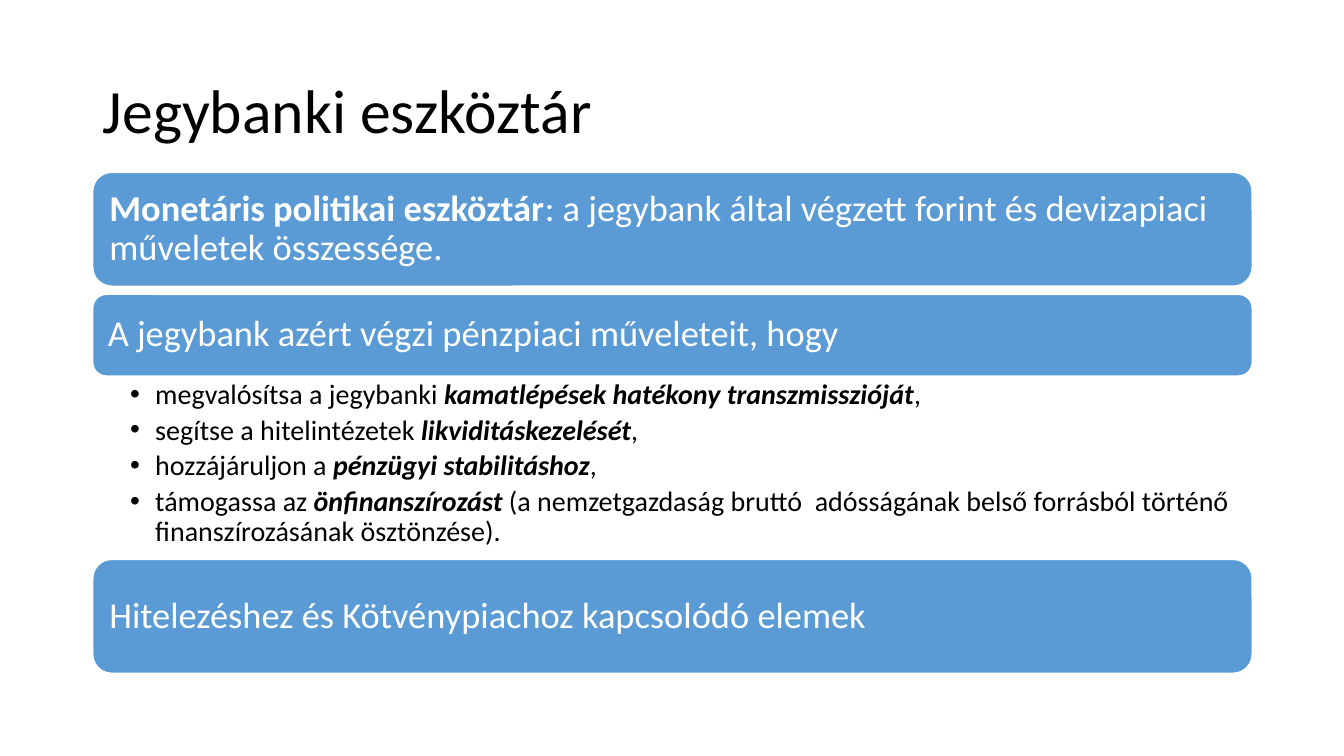
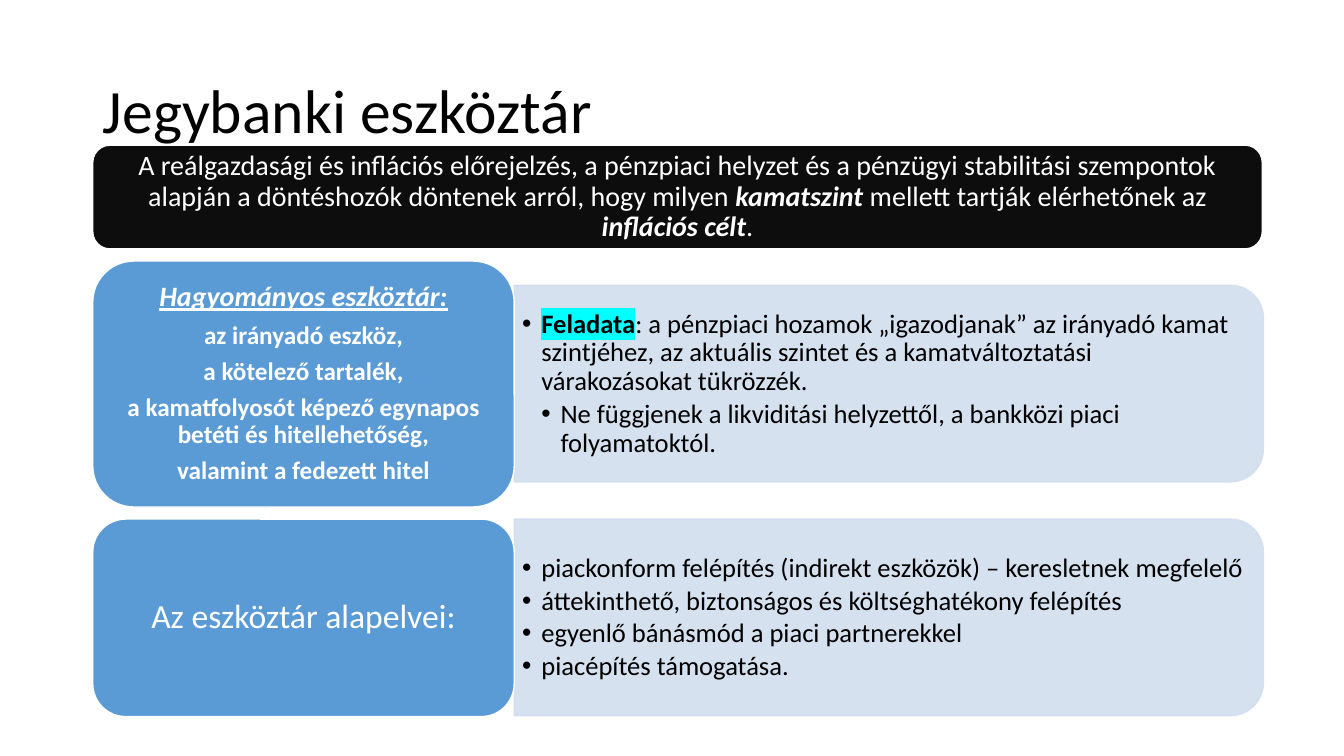
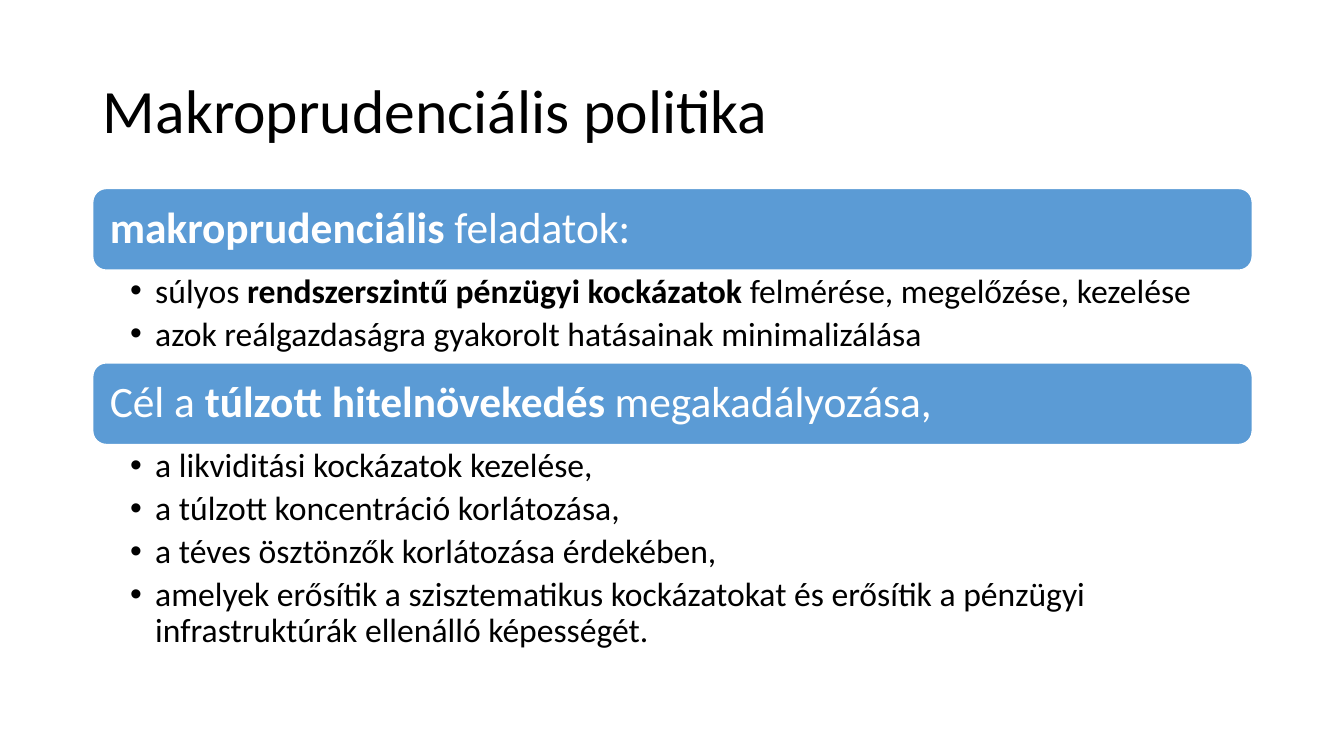
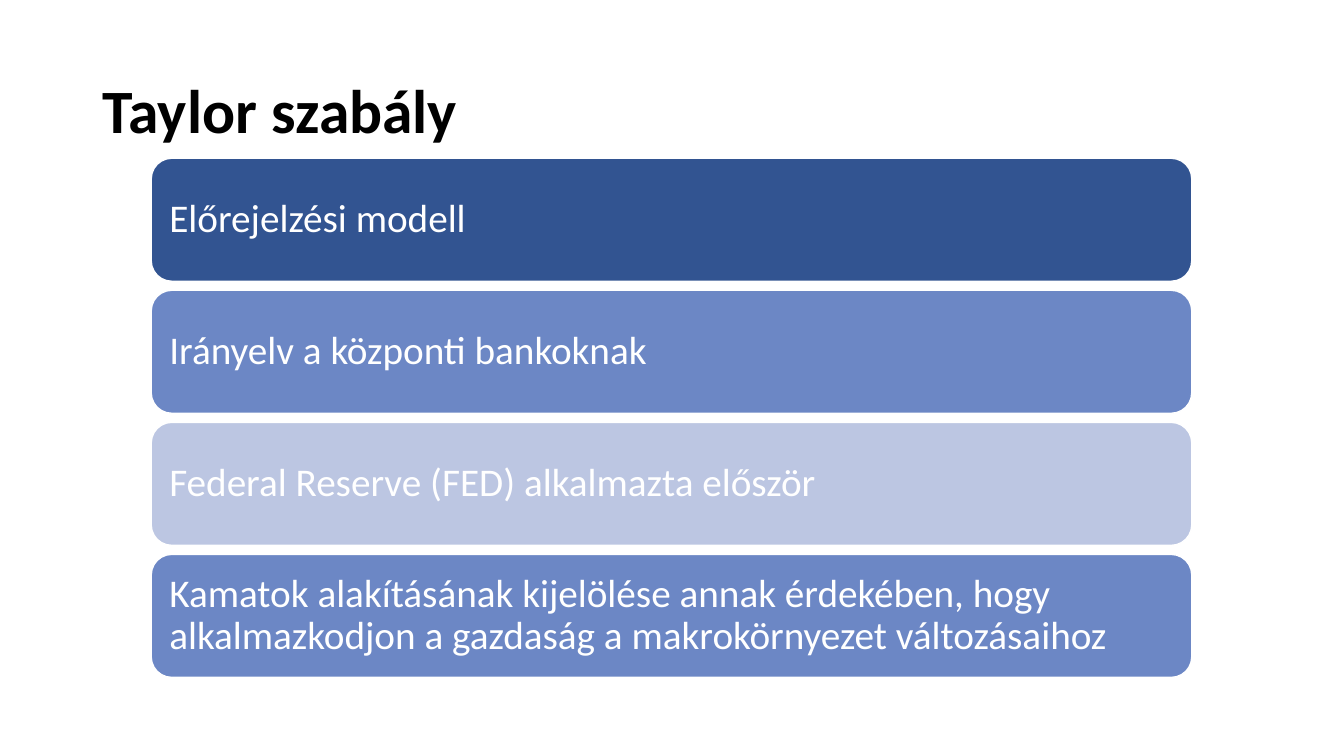
from lxml.etree import SubElement
from pptx import Presentation
from pptx.dml.color import RGBColor as Rgb
from pptx.enum.shapes import MSO_SHAPE as Kind
from pptx.enum.text import MSO_ANCHOR as Anchor, MSO_AUTO_SIZE as Fit, PP_ALIGN as Align
from pptx.oxml.ns import qn
from pptx.util import Inches, Pt

FONT = "Calibri"
HEX = {
    "white": "FFFFFF", "black": "000000", "blue": "5B9BD5", "pale": "D2DEEF",
    "dark": "0D0D0D", "navy": "325491", "mid": "6C87C5", "light": "BCC6E2",
    "cyan": "00FFFF",
}
COLOR = {name: Rgb.from_string(code) for name, code in HEX.items()}
LEFT, WIDE = 0.92, 11.5

deck = Presentation()
deck.slide_width, deck.slide_height = Inches(13.33), Inches(7.5)


def start(text, bold=False):
    """Add a slide with the shared title style."""
    slide = deck.slides.add_slide(deck.slide_layouts[5])
    title = slide.shapes.title
    title.left, title.top = Inches(LEFT), Inches(0.4)
    title.width, title.height = Inches(WIDE), Inches(1.45)
    frame = title.text_frame
    frame.vertical_anchor, frame.auto_size = Anchor.MIDDLE, Fit.NONE
    para = frame.paragraphs[0]
    para.alignment, para.line_spacing = Align.LEFT, 0.9
    run = para.add_run()
    run.text = text
    font = run.font
    font.name, font.size, font.bold = FONT, Pt(44), bold
    font.color.rgb = COLOR["black"]
    return slide


def block(slide, at, size, paras, fill=None, pad=(0.08, 0.04, 0.08, 0.04),
          align=Align.LEFT, anchor=Anchor.MIDDLE, hang=0, after=0.35):
    """Add text, in a rounded card if fill is given.

    A paragraph is a list of (text, marks) runs; the marks are b, i, u and
    h (highlight). A hang above 0 gives bullets with that indent.
    """
    spot = [Inches(n) for n in at]
    if fill:
        shape = slide.shapes.add_shape(Kind.ROUNDED_RECTANGLE, *spot)
        shape.shadow.inherit = False
        shape.fill.solid()
        shape.fill.fore_color.rgb = COLOR[fill]
        shape.line.color.rgb, shape.line.width = COLOR["white"], Pt(1)
    else:
        shape = slide.shapes.add_textbox(*spot)
    frame = shape.text_frame
    frame.word_wrap, frame.vertical_anchor = True, anchor
    (frame.margin_left, frame.margin_top,
     frame.margin_right, frame.margin_bottom) = [Inches(n) for n in pad]
    for i, runs in enumerate(paras):
        para = frame.add_paragraph() if i else frame.paragraphs[0]
        para.alignment, para.line_spacing = align, 0.9
        para.space_after = Pt(size * after)
        if hang:
            props = para._p.get_or_add_pPr()
            props.set("marL", str(Inches(hang)))
            props.set("indent", str(-Inches(hang)))
            SubElement(props, qn("a:buFont")).set("typeface", "Arial")
            SubElement(props, qn("a:buChar")).set("char", "•")
        for text, marks in runs:
            run = para.add_run()
            run.text = text
            font = run.font
            font.name, font.size = FONT, Pt(size)
            font.color.rgb = COLOR["white" if fill else "black"]
            font.bold, font.italic = "b" in marks, "i" in marks
            font.underline = "u" in marks
            if "h" in marks:
                props = run._r.get_or_add_rPr()
                mark = SubElement(props, qn("a:highlight"))
                SubElement(mark, qn("a:srgbClr")).set("val", HEX["cyan"])
                props.find(qn("a:solidFill")).addnext(mark)
    return shape


# Slide 1: purpose of the toolkit
slide = start("Jegybanki eszköztár")
cards = [
    (1.71, 1.13, [("Monetáris politikai eszköztár", "b"),
                  (": a jegybank által végzett forint és devizapiaci műveletek összessége.", "")]),
    (2.92, 0.81, [("A jegybank azért végzi pénzpiaci műveleteit, hogy", "")]),
    (5.55, 1.13, [("Hitelezéshez és Kötvénypiachoz kapcsolódó elemek", "")]),
]
for top, high, runs in cards:
    block(slide, (LEFT, top, WIDE, high), 26, [runs], "blue", [0.11] * 4)
goals = [
    ("megvalósítsa a jegybanki ", "kamatlépések hatékony transzmisszióját", ","),
    ("segítse a hitelintézetek ", "likviditáskezelését", ","),
    ("hozzájáruljon a ", "pénzügyi stabilitáshoz", ","),
    ("támogassa az ", "önfinanszírozást",
     " (a nemzetgazdaság bruttó  adósságának belső forrásból történő finanszírozásának ösztönzése)."),
]
block(slide, (LEFT, 3.73, WIDE, 1.82), 20,
      [[(lead, ""), (key, "bi"), (tail, "")] for lead, key, tail in goals],
      pad=(0.37, 0.04, 0.2, 0.04), anchor=Anchor.TOP, hang=0.25, after=0.2)

# Slide 2: classic tools and principles
slide = start("Jegybanki eszköztár")
block(slide, (LEFT, 1.44, 11.6, 1.03), 20, [[
    ("A reálgazdasági és inflációs előrejelzés, a pénzpiaci helyzet és a pénzügyi stabilitási "
     "szempontok alapján a döntéshozók döntenek arról, hogy milyen ", ""),
    ("kamatszint", "bi"), (" mellett tartják elérhetőnek az ", ""),
    ("inflációs célt", "bi"), (".", ""),
]], "dark", align=Align.CENTER)

tools = [
    [("Hagyományos eszköztár:", "biu")],
    [("az irányadó eszköz,", "b")],
    [("a kötelező tartalék,", "b")],
    [("a kamatfolyosót képező egynapos betéti és hitellehetőség,", "b")],
    [("valamint a fedezett hitel", "b")],
]
task = [
    [("Feladata", "bh"),
     (": a pénzpiaci hozamok „igazodjanak” az irányadó kamat szintjéhez, az aktuális szintet "
      "és a kamatváltoztatási várakozásokat tükrözzék.", "")],
    [("Ne függjenek a likviditási helyzettől, a bankközi piaci folyamatoktól.", "")],
]
rules = [[(text, "")] for text in (
    "piackonform felépítés (indirekt eszközök) – keresletnek megfelelő",
    "áttekinthető, biztonságos és költséghatékony felépítés",
    "egyenlő bánásmód a piaci partnerekkel",
    "piacépítés támogatása.",
)]
rows = [
    (2.59, 2.44, 18, tools, task),
    (5.15, 1.96, 24, [[("Az eszköztár alapelvei:", "")]], rules),
]
heads, lists = [], []
for top, high, size, head, items in rows:
    mid = top + high / 2
    panel = slide.shapes.add_shape(
        Kind.ROUND_2_SAME_RECTANGLE,
        Inches(7.84), Inches(mid - 3.72), Inches(1.95), Inches(7.43))
    panel.rotation = 90
    panel.shadow.inherit = False
    panel.fill.solid()
    panel.fill.fore_color.rgb = COLOR["pale"]
    panel.line.color.rgb, panel.line.width = COLOR["pale"], Pt(1)
    for shade in panel._element.spPr.iter(qn("a:srgbClr")):
        SubElement(shade, qn("a:alpha")).set("val", "90000")
    lists.append(block(slide, (5.1, mid - 0.88, 7.34, 1.76), 19, items, hang=0.19, after=0.15))
    heads.append(block(slide, (LEFT, top, 4.18, high), size, head, "blue", align=Align.CENTER))

lead = heads[0].text_frame.paragraphs[0]
lead.space_after = Pt(7)
lead.runs[0].font.size = Pt(20)
sub = lists[0].text_frame.paragraphs[1]
sub.level = 1
sub._p.get_or_add_pPr().set("marL", str(Inches(0.38)))

# Slide 3: macroprudential policy
slide = start("Makroprudenciális politika")
parts = [
    (1.87, 0.91, [("makroprudenciális", "b"), (" feladatok:", "")], [
        [("súlyos ", ""), ("rendszerszintű pénzügyi kockázatok", "b"),
         (" felmérése, megelőzése, kezelése", "")],
        [("azok reálgazdaságra gyakorolt hatásainak minimalizálása", "")],
    ]),
    (3.6, 2.18, [("Cél a ", ""), ("túlzott hitelnövekedés ", "b"), ("megakadályozása,", "")], [
        [("a likviditási kockázatok kezelése,", "")],
        [("a túlzott koncentráció korlátozása,", "")],
        [("a téves ösztönzők korlátozása érdekében,", "")],
        [("amelyek erősítik a szisztematikus kockázatokat és erősítik a pénzügyi "
          "infrastruktúrák ellenálló képességét.", "")],
    ]),
]
for top, high, head, items in parts:
    block(slide, (LEFT, top, WIDE, 0.81), 31, [head], "blue", [0.13] * 4)
    block(slide, (LEFT, top + 0.81, WIDE, high), 24, items,
          pad=(0.37, 0.04, 0.24, 0.04), anchor=Anchor.TOP, hang=0.25, after=0.2)

# Slide 4: Taylor rule
slide = start("Taylor szabály", bold=True)
facts = [
    ("navy", "Előrejelzési modell"),
    ("mid", "Irányelv a központi bankoknak"),
    ("light", "Federal Reserve (FED) alkalmazta először"),
    ("mid", "Kamatok alakításának kijelölése annak érdekében, hogy alkalmazkodjon a gazdaság "
            "a makrokörnyezet változásaihoz"),
]
for i, (fill, text) in enumerate(facts):
    block(slide, (1.5, 1.57 + i * 1.31, 10.32, 1.22), 28, [[(text, "")]], fill, [0.12] * 4)

deck.save("out.pptx")
